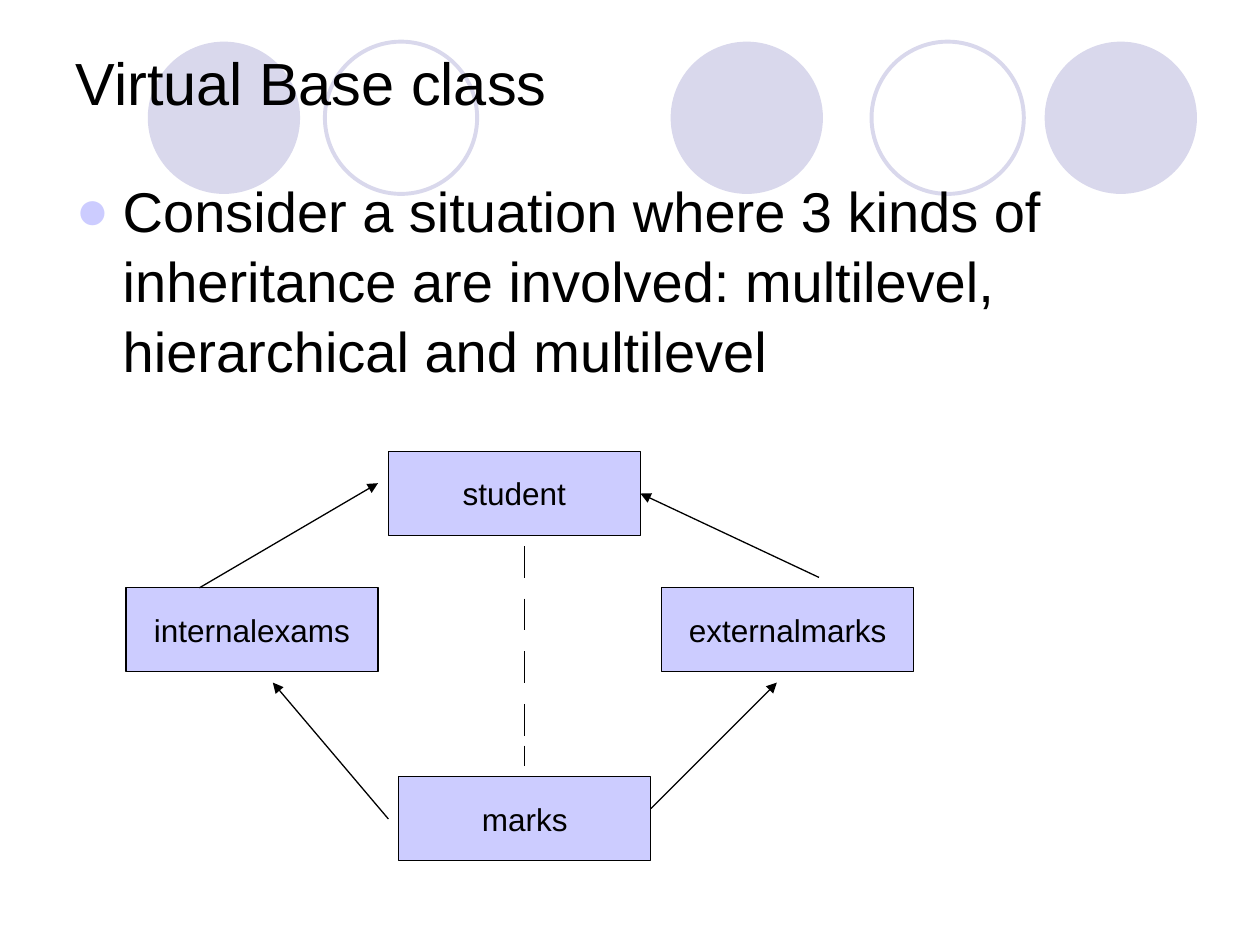
from dataclasses import dataclass

from lxml.etree import SubElement as Sub
from pptx import Presentation
from pptx.dml.color import RGBColor as Rgb
from pptx.enum.shapes import MSO_CONNECTOR as Conn, MSO_SHAPE as Kind
from pptx.enum.text import MSO_ANCHOR as Anchor, MSO_AUTO_SIZE as Fit, PP_ALIGN as Align
from pptx.oxml.ns import qn
from pptx.util import Cm, Pt


@dataclass(frozen=True)
class Theme:
    font: str = "Arial"
    ink: Rgb = Rgb(0x00, 0x00, 0x00)
    box: Rgb = Rgb(0xCC, 0xCC, 0xFF)
    ring: Rgb = Rgb(0xD9, 0xD8, 0xEC)
    head: int = Pt(34)
    body: int = Pt(32)
    label: int = Pt(18)
    thin: int = Pt(0.75)
    thick: int = Pt(2.25)


theme = Theme()


def write(shape, text, size, align, frame):
    """Put one formatted paragraph in a shape and return it."""
    for name, value in frame.items():
        setattr(shape.text_frame, name, value)
    para = shape.text_frame.paragraphs[0]
    para.alignment = align
    run = para.add_run()
    run.text = text
    for name, value in {"name": theme.font, "size": size, "bold": False}.items():
        setattr(run.font, name, value)
    run.font.color.rgb = theme.ink
    return para


def link(x1, y1, x2, y2, arrow=False):
    """Draw a thin line, with an arrowhead at its end if asked."""
    line = shapes.add_connector(Conn.STRAIGHT, Cm(x1), Cm(y1), Cm(x2), Cm(y2))
    line.line.color.rgb = theme.ink
    line.line.width = theme.thin
    props = line.element.spPr
    if arrow:
        Sub(props.find(qn("a:ln")), qn("a:tailEnd"), type="triangle")
    Sub(props, qn("a:effectLst"))


deck = Presentation()
deck.slide_width, deck.slide_height = Cm(25.4), Cm(19.05)
slide = deck.slides.add_slide(deck.slide_layouts[1])
shapes = slide.shapes
title, body = slide.placeholders
tree = title.element.getparent()

# Row of circles behind the text
for x, solid in [(13.52, True), (21.06, True), (2.98, True), (17.57, False), (6.55, False)]:
    disc = shapes.add_shape(Kind.OVAL, Cm(x), Cm(0.84), Cm(3.07), Cm(3.07))
    disc.shadow.inherit = False
    if solid:
        disc.fill.solid()
        disc.fill.fore_color.rgb = theme.ring
        disc.line.fill.background()
    else:
        disc.fill.background()
        disc.line.color.rgb = theme.ring
        disc.line.width = theme.thick

# Title and bullet, raised above the circles
for holder, top, high in [(title, 0.76, 1.78), (body, 3.38, 13.64)]:
    tree.append(holder.element)
    spot = {"left": Cm(1.27), "top": Cm(top), "width": Cm(22.86), "height": Cm(high)}
    for name, value in spot.items():
        setattr(holder, name, value)

frame = {"word_wrap": True, "auto_size": Fit.NONE}
write(title, "Virtual Base class", theme.head, Align.LEFT,
      {**frame, "vertical_anchor": Anchor.MIDDLE})
item = write(body, "Consider a situation where 3 kinds of inheritance are involved: "
             "multilevel, hierarchical and multilevel", theme.body, Align.LEFT,
             {**frame, "vertical_anchor": Anchor.TOP})
item.space_before = Pt(8)
item.line_spacing = 1.04
props = item._p.get_or_add_pPr()
props.set("marL", str(Cm(0.95)))
props.set("indent", str(-Cm(0.95)))
Sub(Sub(props, qn("a:buClr")), qn("a:srgbClr"), val=str(theme.box))
Sub(props, qn("a:buFont"), typeface=theme.font)
Sub(props, qn("a:buChar"), char="●")

# Class boxes
for text, x, y in [("student", 7.83, 9.1), ("internalexams", 2.54, 11.85),
                   ("externalmarks", 13.34, 11.85), ("marks", 8.04, 15.66)]:
    box = shapes.add_shape(Kind.RECTANGLE, Cm(x), Cm(y), Cm(5.08), Cm(1.69))
    box.shadow.inherit = False
    box.fill.solid()
    box.fill.fore_color.rgb = theme.box
    box.line.color.rgb = theme.ink
    box.line.width = theme.thin
    write(box, text, theme.label, Align.CENTER,
          {"word_wrap": False, "vertical_anchor": Anchor.MIDDLE})

# Arrows from each class to its base
for ends in [(7.83, 16.51, 5.5, 13.76), (13.12, 16.3, 15.66, 13.76),
             (16.51, 11.64, 12.91, 9.95), (4.02, 11.85, 7.62, 9.74)]:
    link(*ends, arrow=True)

# Broken line from student to marks
for y, size in [(11.01 + 1.06 * n, 0.64) for n in range(4)] + [(15.03, 0.42)]:
    link(10.58, y, 10.58, y + size)

deck.save("out.pptx")
